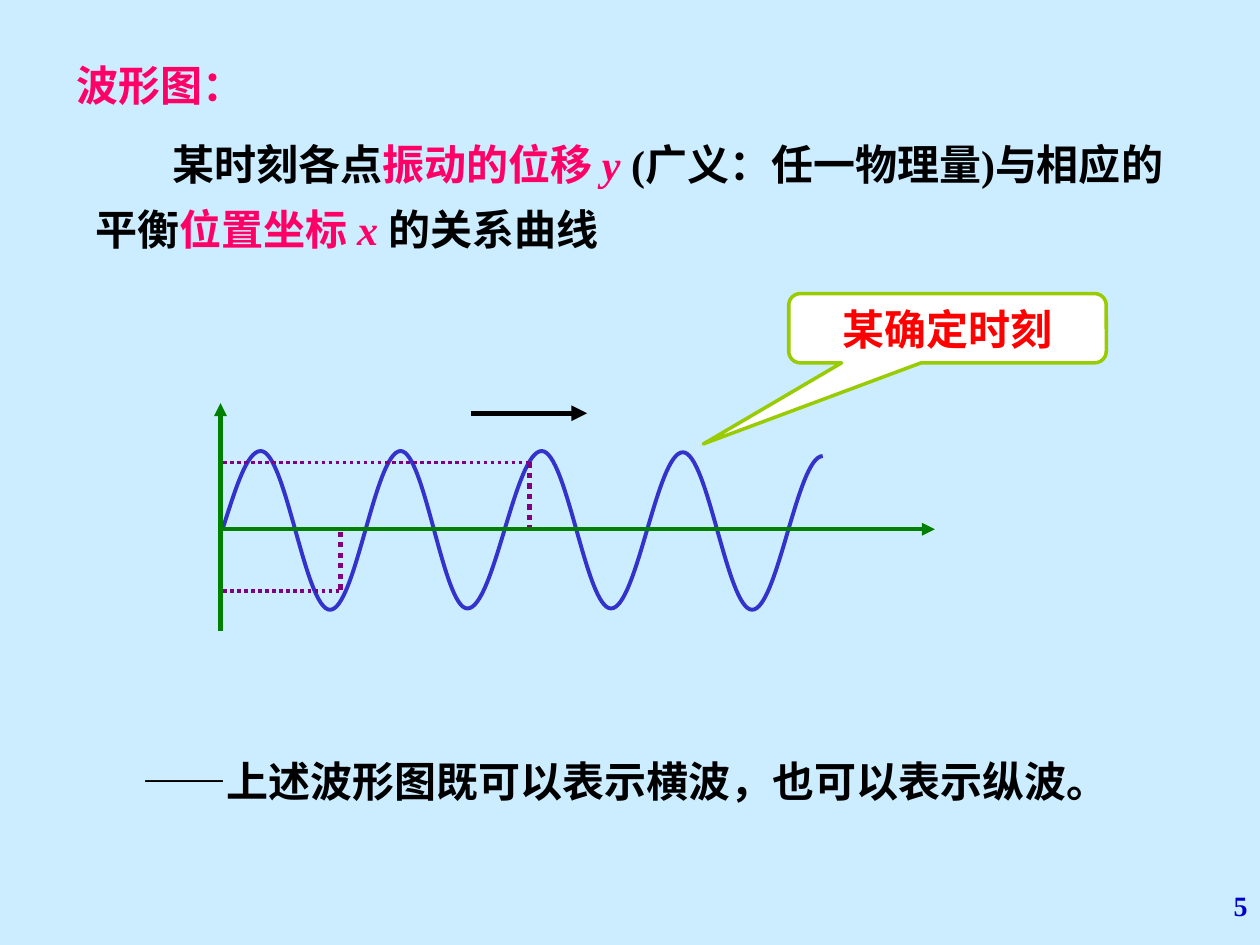
from lxml.etree import SubElement
from pptx import Presentation
from pptx.dml.color import RGBColor
from pptx.enum.dml import MSO_LINE
from pptx.enum.shapes import MSO_CONNECTOR, MSO_SHAPE
from pptx.enum.text import MSO_ANCHOR, PP_ALIGN
from pptx.oxml.ns import qn
from pptx.util import Inches, Pt


def color(value):
    return RGBColor.from_string(value)


def write(shape, *spans, size=24, align=PP_ALIGN.LEFT, spacing=1.0, indent=0):
    frame = shape.text_frame
    frame.word_wrap = True
    para = frame.paragraphs[0]
    para.alignment = align
    para.line_spacing = spacing
    if indent:
        para._p.get_or_add_pPr().set("indent", str(Inches(indent)))
    for text, fill, italic in spans:
        span = para.add_run()
        span.text = text
        span.font.name = "Times New Roman"
        span.font.size = Pt(size)
        span.font.bold = True
        span.font.italic = italic
        span.font.color.rgb = color(fill)


BLACK, PINK, GREEN, PURPLE = "000000", "FF0066", "008000", "800080"

deck = Presentation()
deck.slide_width, deck.slide_height = Inches(10), Inches(7.5)
page = deck.slides.add_slide(deck.slide_layouts[6])
page.background.fill.solid()
page.background.fill.fore_color.rgb = color("CCECFF")
shapes = page.shapes

number = shapes.add_textbox(Inches(7.92), Inches(7), Inches(2.08), Inches(0.5))
write(number, ("5", "0000CC", False), size=16, align=PP_ALIGN.RIGHT)

heading = shapes.add_textbox(Inches(0.51), Inches(0.3), Inches(2.36), Inches(0.62))
write(heading, ("波形图：", PINK, False), spacing=1.3)

remark = shapes.add_textbox(Inches(1.03), Inches(5.95), Inches(8.07), Inches(0.5))
write(remark, ("——上述波形图既可以表示横波，也可以表示纵波。", BLACK, False))

callout = shapes.add_shape(
    MSO_SHAPE.ROUNDED_RECTANGULAR_CALLOUT, Inches(6.26), Inches(2.33), Inches(2.52), Inches(0.55)
)
callout.shadow.inherit = False
for index, value in enumerate((-0.769, 1.67, 0.167)):
    callout.adjustments[index] = value
callout.fill.solid()
callout.fill.fore_color.rgb = color("FFFFFF")
callout.line.color.rgb = color("99CC00")
callout.line.width = Pt(2)
callout.text_frame.vertical_anchor = MSO_ANCHOR.MIDDLE
write(callout, ("某确定时刻", "FF0000", False), align=PP_ALIGN.CENTER)

start = (1.77, 4.19)
turns = [(2.07, 3.58), (2.62, 4.84), (3.18, 3.58), (3.71, 4.83), (4.3, 3.58),
         (4.85, 4.83), (5.42, 3.59), (5.97, 4.84), (6.53, 3.62)]
points = [(1.87, 3.88), (1.96, 3.58), turns[0]]
for (x1, y1), (x2, y2) in zip(turns, turns[1:]):
    reach = (x2 - x1) * 0.36
    points += [(x1 + reach, y1), (x2 - reach, y2), (x2, y2)]
builder = shapes.build_freeform(Inches(start[0]), Inches(start[1]))
builder.add_line_segments([(Inches(x), Inches(y)) for x, y in points], close=False)
wave = builder.convert_to_shape()
wave.shadow.inherit = False
wave.fill.background()
wave.line.color.rgb = color("3333CC")
wave.line.width = Pt(2.25)
segments = list(wave._element.iter(qn("a:lnTo")))
outline = segments[0].getparent()
for first in range(0, len(segments), 3):
    curve = SubElement(outline, qn("a:cubicBezTo"))
    for segment in segments[first:first + 3]:
        curve.append(segment[0])
        outline.remove(segment)

lines = [
    (3.74, 3.28, 4.66, 3.28, BLACK, 3, True),
    (4.2, 3.67, 4.2, 4.22, PURPLE, 3, False),
    (2.7, 4.22, 2.7, 4.69, PURPLE, 3, False),
    (1.77, 3.67, 4.21, 3.67, PURPLE, 2, False),
    (1.77, 4.69, 2.72, 4.69, PURPLE, 2, False),
    (1.75, 4.2, 7.42, 4.2, GREEN, 2.5, True),
    (1.75, 5.01, 1.75, 3.2, GREEN, 2.5, True),
]
for x1, y1, x2, y2, stroke, width, arrow in lines:
    line = shapes.add_connector(
        MSO_CONNECTOR.STRAIGHT, Inches(x1), Inches(y1), Inches(x2), Inches(y2)
    )
    line.line.color.rgb = color(stroke)
    line.line.width = Pt(width)
    if arrow:
        SubElement(line.line._get_or_add_ln(), qn("a:tailEnd"), type="triangle")
    else:
        line.line.dash_style = MSO_LINE.ROUND_DOT
    SubElement(line._element.spPr, qn("a:effectLst"))

definition = shapes.add_textbox(Inches(0.66), Inches(0.93), Inches(8.75), Inches(1.14))
write(
    definition,
    ("某时刻各点", BLACK, False),
    ("振动的位移 ", PINK, False),
    ("y ", PINK, True),
    ("(广义：任一物理量)与相应的平衡", BLACK, False),
    ("位置坐标 ", PINK, False),
    ("x ", PINK, True),
    ("的关系曲线", BLACK, False),
    spacing=1.3,
    indent=0.61,
)

deck.save("out.pptx")
